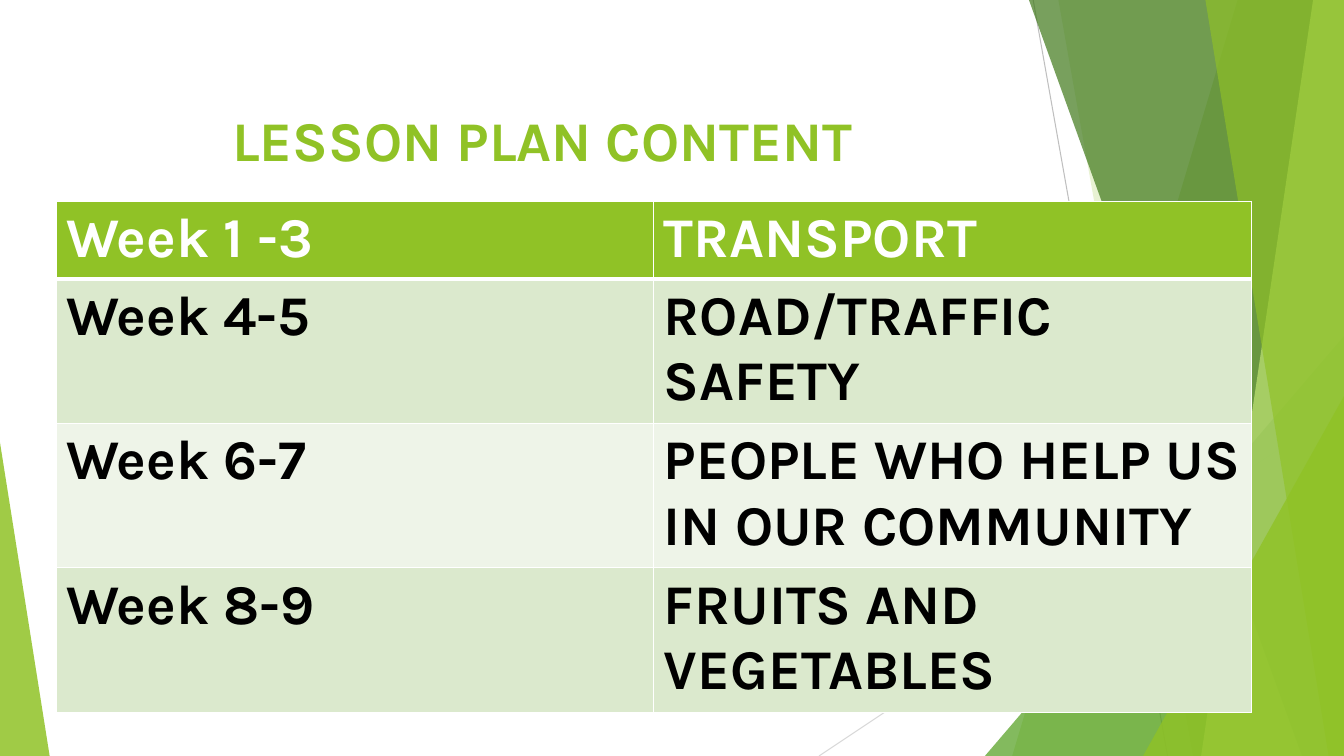
from pptx import Presentation
from pptx import util as u
from pptx.dml.color import RGBColor
from pptx.enum import shapes, text
from pptx.oxml import parse_xml
from pptx.oxml.ns import nsdecls, qn
from lxml import etree

WIDTH, HEIGHT = 960, 540
FONT = "Karla"
GREEN = RGBColor(0x90, 0xC2, 0x26)
MID_GREEN = RGBColor(0x54, 0xA0, 0x21)
DARK_GREEN = RGBColor(0x3F, 0x78, 0x19)
LIME = RGBColor(0xC0, 0xE4, 0x74)
BAND_DARK = RGBColor(0xDB, 0xE9, 0xCD)
BAND_LIGHT = RGBColor(0xEE, 0xF4, 0xE8)
GRAY = RGBColor(0xBF, 0xBF, 0xBF)
LIGHT_GRAY = RGBColor(0xD9, 0xD9, 0xD9)
WHITE = RGBColor(0xFF, 0xFF, 0xFF)
BLACK = RGBColor(0, 0, 0)

LESSONS = [
    ("Week 1 -3", "TRANSPORT"),
    ("Week 4-5", "ROAD/TRAFFIC SAFETY"),
    ("Week 6-7", "PEOPLE WHO HELP US IN OUR COMMUNITY"),
    ("Week 8-9", "FRUITS AND VEGETABLES"),
]


def write_text(text_frame, wording, color):
    paragraph = text_frame.paragraphs[0]
    run = paragraph.add_run()
    run.text = wording
    formats = {"name": FONT, "size": u.Pt(40), "bold": True}
    for name, value in formats.items():
        setattr(run.font, name, value)
    run.font.color.rgb = color


def paint(shape, color, opacity):
    """Fill a shape with a see-through colour, without outline or shadow."""
    shape.shadow.inherit = False
    shape.line.fill.background()
    shape.fill.solid()
    shape.fill.fore_color.rgb = color
    color_element = shape.fill._xPr.find(qn("a:solidFill"))[0]
    alpha = etree.SubElement(color_element, qn("a:alpha"))
    alpha.set("val", str(opacity * 1000))


def add_hairline(slide, start, end, color):
    line = slide.shapes.add_connector(
        shapes.MSO_CONNECTOR.STRAIGHT, *map(u.Pt, start + end))
    line.line.width = u.Pt(0.75)
    line.line.color.rgb = color
    etree.SubElement(line._element.spPr, qn("a:effectLst"))


def add_edge_panel(slide, top_x, bottom_x, color, opacity):
    """Panel from a slanted left side to the right edge of the slide."""
    builder = slide.shapes.build_freeform(top_x, 0, scale=u.Pt(1))
    builder.add_line_segments(
        [(WIDTH, 0), (WIDTH, HEIGHT), (bottom_x, HEIGHT)], close=True)
    paint(builder.convert_to_shape(), color, opacity)


def add_corner_triangle(slide, left, top, width, apex, color, opacity):
    """Triangle standing on the bottom edge of the slide."""
    triangle = slide.shapes.add_shape(
        shapes.MSO_SHAPE.ISOSCELES_TRIANGLE,
        u.Pt(left), u.Pt(top), u.Pt(width), u.Pt(HEIGHT - top))
    triangle.adjustments[0] = apex
    paint(triangle, color, opacity)


def add_title(slide, wording):
    box = slide.shapes.add_textbox(u.Pt(53), u.Pt(48), u.Pt(677), u.Pt(96))
    formats = {
        "word_wrap": True,
        "vertical_anchor": text.MSO_ANCHOR.TOP,
        "margin_left": u.Pt(113),
        "margin_top": u.Pt(27),
    }
    for name, value in formats.items():
        setattr(box.text_frame, name, value)
    write_text(box.text_frame, wording, GREEN)


def add_borders(cell, bottom_width):
    properties = cell._tc.get_or_add_tcPr()
    widths = {"lnL": 1, "lnR": 1, "lnT": 1, "lnB": bottom_width}
    for index, (side, width) in enumerate(widths.items()):
        properties.insert(index, parse_xml(
            f'<a:{side} {nsdecls("a")} w="{u.Pt(width)}"><a:solidFill>'
            f'<a:srgbClr val="{WHITE}"/></a:solidFill></a:{side}>'))


def add_lesson_table(slide):
    heights = [48] + [88.5] * (len(LESSONS) - 1)
    table = slide.shapes.add_table(
        len(LESSONS), 2, u.Pt(40), u.Pt(144), u.Pt(854),
        u.Pt(sum(heights))).table
    for row_index, lesson in enumerate(LESSONS):
        table.rows[row_index].height = u.Pt(heights[row_index])
        is_header = row_index == 0
        band = BAND_DARK if row_index % 2 else BAND_LIGHT
        for column_index, wording in enumerate(lesson):
            cell = table.cell(row_index, column_index)
            cell.fill.solid()
            cell.fill.fore_color.rgb = GREEN if is_header else band
            add_borders(cell, 3 if is_header else 1)
            write_text(cell.text_frame, wording,
                       WHITE if is_header else BLACK)


def main():
    presentation = Presentation()
    presentation.slide_width = u.Pt(WIDTH)
    presentation.slide_height = u.Pt(HEIGHT)
    slide = presentation.slides.add_slide(presentation.slide_layouts[6])

    # Background facets, from back to front
    add_hairline(slide, (738, 0), (834, HEIGHT), GRAY)
    add_hairline(slide, (WIDTH, 290), (585, HEIGHT), LIGHT_GRAY)
    add_edge_panel(slide, 884, 723, GREEN, 30)
    add_edge_panel(slide, 756, 852, GREEN, 20)
    add_corner_triangle(slide, 703.5, 240, 256.5, 1, MID_GREEN, 72)
    add_edge_panel(slide, 735, 929.5, DARK_GREEN, 70)
    add_edge_panel(slide, 938, 858, LIME, 70)
    add_edge_panel(slide, 861, 949, GREEN, 65)
    add_corner_triangle(slide, 816.5, 283, 143.5, 1, GREEN, 80)
    add_corner_triangle(slide, 0, 316, 35.5, 0, GREEN, 85)

    # Title and lesson plan
    add_title(slide, "LESSON PLAN CONTENT")
    add_lesson_table(slide)

    presentation.save("out.pptx")


if __name__ == "__main__":
    main()
